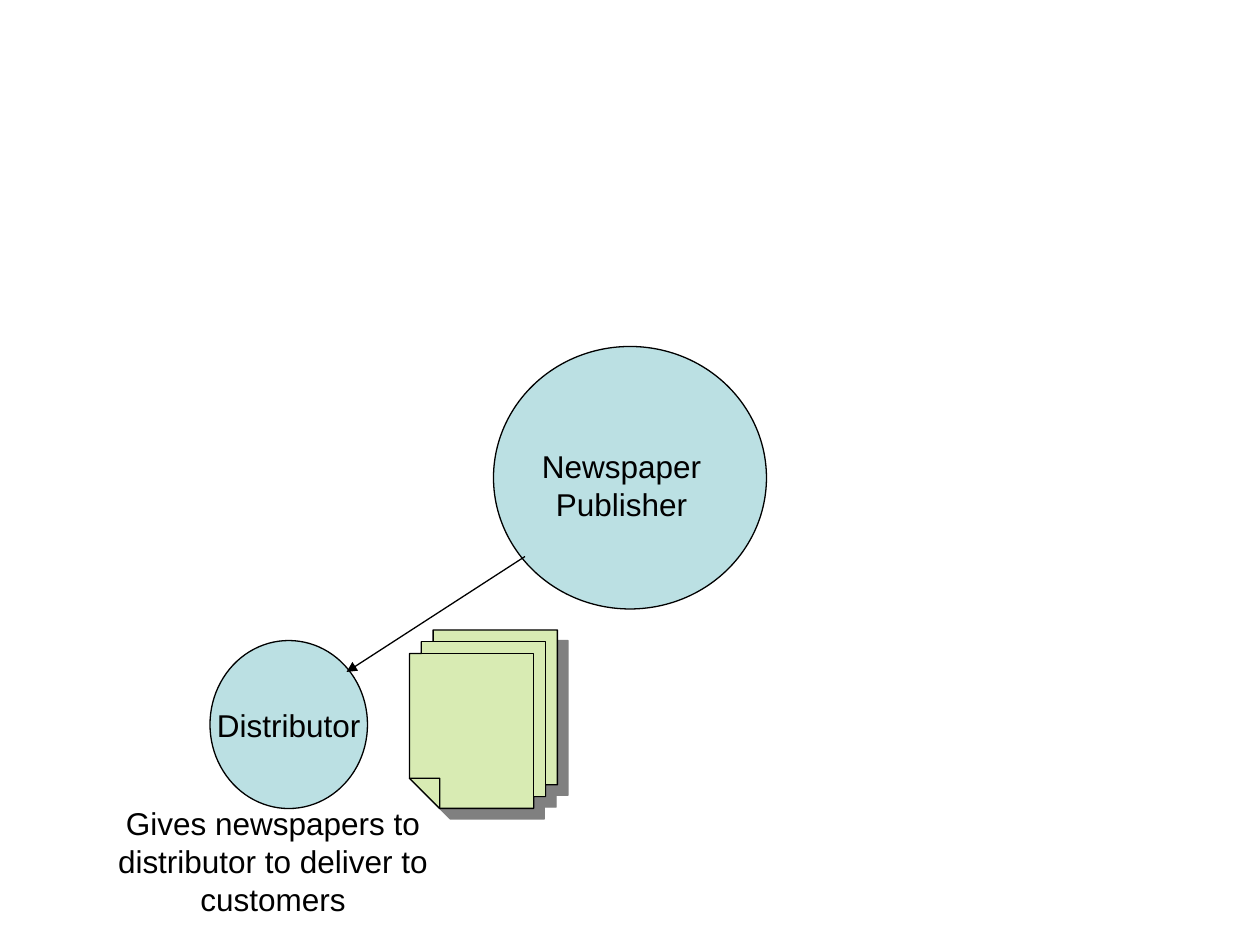
from lxml.etree import SubElement
from pptx import Presentation
from pptx.dml.color import RGBColor
from pptx.enum.shapes import MSO_CONNECTOR, MSO_SHAPE
from pptx.enum.text import MSO_ANCHOR, PP_ALIGN
from pptx.oxml.ns import qn
from pptx.util import Pt

BLUE, GREEN, GRAY, BLACK = "BBE0E3", "D8EBB3", "808080", "000000"


def color(text):
    return RGBColor.from_string(text)


def paint(shape, fill):
    shape.shadow.inherit = False
    shape.fill.solid()
    shape.fill.fore_color.rgb = color(fill)
    shape.line.color.rgb = color(BLACK)
    shape.line.width = Pt(0.75)


def write(shape, text, wrap=True, anchor=MSO_ANCHOR.TOP):
    frame = shape.text_frame
    frame.word_wrap = wrap
    frame.vertical_anchor = anchor
    para = frame.paragraphs[0]
    para.alignment = PP_ALIGN.CENTER
    run = para.add_run()
    run.text = text
    run.font.name = "Arial"
    run.font.size = Pt(18)
    run.font.color.rgb = color(BLACK)


def circle(slide, x, y, w, h):
    shape = slide.shapes.add_shape(MSO_SHAPE.OVAL, Pt(x), Pt(y), Pt(w), Pt(h))
    paint(shape, BLUE)
    return shape


def label(slide, x, y, w, h, text):
    write(slide.shapes.add_textbox(Pt(x), Pt(y), Pt(w), Pt(h)), text)


def arrow(slide, x1, y1, x2, y2):
    link = slide.shapes.add_connector(
        MSO_CONNECTOR.STRAIGHT, Pt(x1), Pt(y1), Pt(x2), Pt(y2))
    link.line.color.rgb = color(BLACK)
    link.line.width = Pt(0.75)
    SubElement(link.line._get_or_add_ln(), qn("a:tailEnd"), type="triangle")
    SubElement(link._element.spPr, qn("a:effectLst"))


def outline(slide, x, y, points):
    spots = [(Pt(x + dx), Pt(y + dy)) for dx, dy in points]
    path = slide.shapes.build_freeform(*spots[0], scale=1.0)
    path.add_line_segments(spots[1:], close=True)
    shape = path.convert_to_shape()
    paint(shape, GREEN)
    return shape


def shade(shape):
    effects = shape._element.spPr.find(qn("a:effectLst"))
    shadow = SubElement(effects, qn("a:outerShdw"), dist=str(Pt(8.5)),
                        dir=str(45 * 60000), algn="ctr", rotWithShape="0")
    SubElement(shadow, qn("a:srgbClr"), val=GRAY)


def papers(slide, x, y, w, h):
    step, fold = 6.75, 17.25
    two = 2 * step
    # Whole stack
    stack = outline(slide, x, y, [
        (0, h - fold), (0, two), (step, two), (step, step), (two, step),
        (two, 0), (w, 0), (w, h - two), (w - step, h - two),
        (w - step, h - step), (w - two, h - step), (w - two, h), (fold, h)])
    shade(stack)
    # Visible edge of the middle sheet
    outline(slide, x, y, [
        (step, step), (w - step, step), (w - step, h - step),
        (w - two, h - step), (w - two, two), (step, two)])
    # Folded corner
    outline(slide, x, y, [(0, h - fold), (fold, h - fold), (fold, h)])


def publisher(slide, x, y):
    circle(slide, x, y, 156, 150)
    label(slide, x - 6, y + 54, 158.4, 50.4, "Newspaper Publisher")


def delivery(slide, x, y):
    papers(slide, x + 186, y + 42, 84.5, 102)
    node = circle(slide, x + 72, y + 48, 90, 96)
    write(node, "Distributor", False, MSO_ANCHOR.MIDDLE)
    arrow(slide, x + 252, y, x + 150, y + 66)
    label(slide, x, y + 138, 216, 72,
          "Gives newspapers to distributor to deliver to customers")


def main():
    deck = Presentation()
    deck.slide_width, deck.slide_height = Pt(720), Pt(540)
    slide = deck.slides.add_slide(deck.slide_layouts[6])
    publisher(slide, 282, 198)
    delivery(slide, 48, 318)
    deck.save("out.pptx")


if __name__ == "__main__":
    main()
